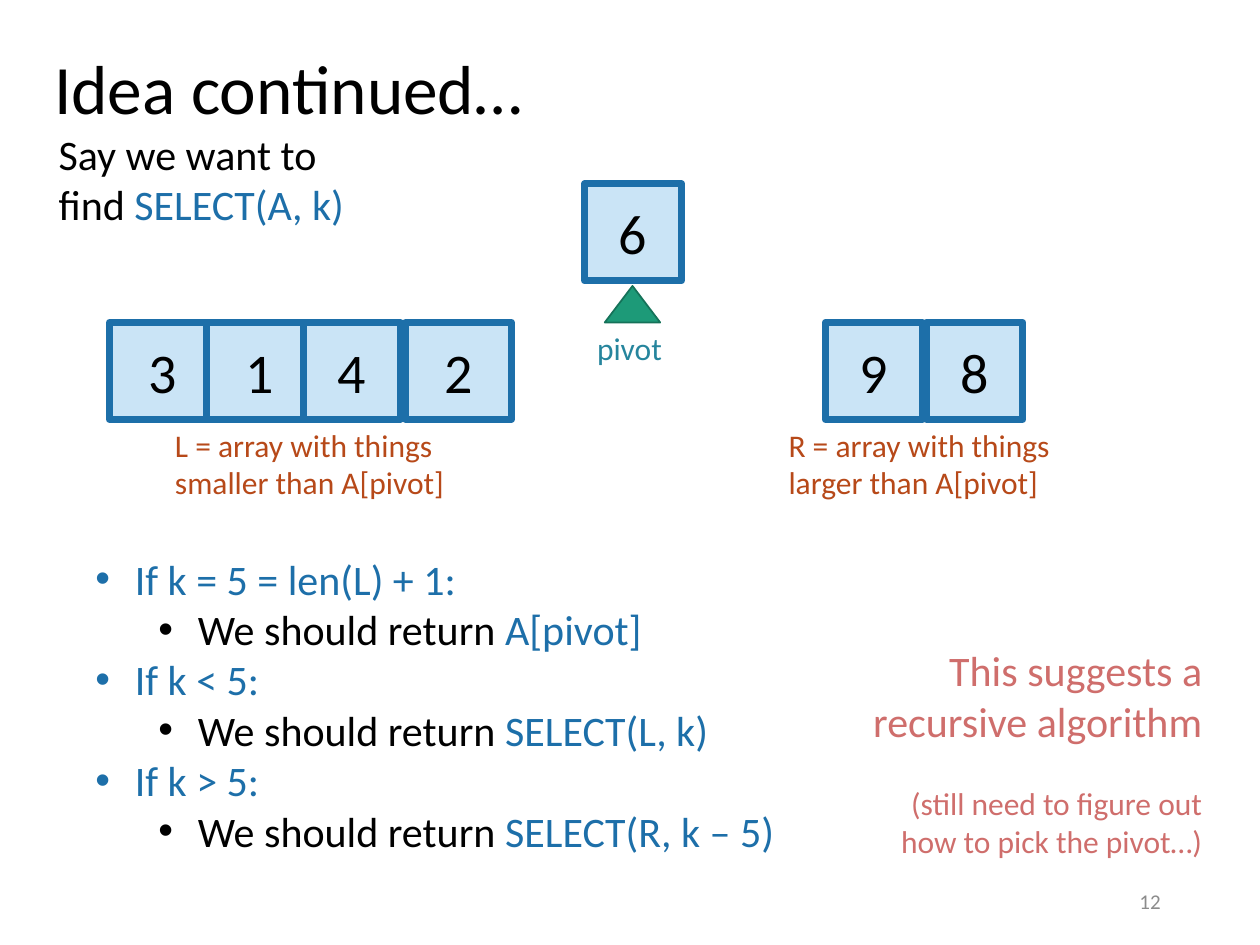
from lxml import etree
from pptx import Presentation
from pptx.dml.color import RGBColor
from pptx.enum import shapes, text
from pptx.oxml import ns
from pptx.util import Pt

FONT = "Calibri"
COLORS = {
    "black": "000000", "blue": "1D6FA9", "cell": "CAE4F6", "green": "1D9A78",
    "dark_green": "157259", "teal": "26859D", "rust": "B74919",
    "rose": "CF6E6C", "gray": "8C8C8C",
}
CELL = 55.4
WIDE_CELL = 60.5
ROW_TOP = 184.3


def color(name):
    return RGBColor.from_string(COLORS[name])


def add_run(paragraph, words, size, color_name):
    run = paragraph.add_run()
    run.text = words
    run.font.name = FONT
    run.font.size = Pt(size)
    run.font.color.rgb = color(color_name)


def add_bullet(paragraph, level):
    paragraph.level = level
    properties = paragraph._p.get_or_add_pPr()
    properties.set("marL", str(Pt(22.5 + 36 * level)))
    properties.set("indent", str(Pt(-22.5)))
    etree.SubElement(properties, ns.qn("a:buFont")).set("typeface", "Arial")
    etree.SubElement(properties, ns.qn("a:buChar")).set("char", "•")


def add_text(slide, box, paragraphs, size, align=text.PP_ALIGN.LEFT,
             anchor=text.MSO_ANCHOR.TOP, levels=None):
    frame = slide.shapes.add_textbox(*map(Pt, box)).text_frame
    frame.word_wrap = True
    frame.vertical_anchor = anchor
    for index, runs in enumerate(paragraphs):
        paragraph = frame.paragraphs[0] if index == 0 else frame.add_paragraph()
        paragraph.alignment = align
        if levels:
            add_bullet(paragraph, levels[index])
        for words, color_name in runs:
            add_run(paragraph, words, size, color_name)
    return frame


def add_filled_shape(slide, kind, box, fill, line, line_width):
    shape = slide.shapes.add_shape(kind, *map(Pt, box))
    shape.shadow.inherit = False
    shape.fill.solid()
    shape.fill.fore_color.rgb = color(fill)
    shape.line.color.rgb = color(line)
    shape.line.width = Pt(line_width)
    return shape


def add_cell(slide, left, top, width, number):
    shape = add_filled_shape(slide, shapes.MSO_SHAPE.RECTANGLE,
                             (left, top, width, CELL), "cell", "blue", 4)
    shape.text_frame.vertical_anchor = text.MSO_ANCHOR.MIDDLE
    paragraph = shape.text_frame.paragraphs[0]
    paragraph.alignment = text.PP_ALIGN.CENTER
    add_run(paragraph, number, 32, "black")


def add_array(slide, left, top, cells, caption, caption_left):
    for offset, width, number in cells:
        add_cell(slide, left + offset, top, width, number)
    add_text(slide, (caption_left, top + CELL, 209.5, 51),
             [[(caption, "rust")]], 18)


def add_pivot(slide, left, top):
    add_cell(slide, left, top, CELL, "6")
    add_filled_shape(slide, shapes.MSO_SHAPE.ISOSCELES_TRIANGLE,
                     (left + 11.5, top + 58.3, 31.7, 20.9),
                     "green", "dark_green", 1)
    add_text(slide, (left, top + 79.2, 72, 29), [[("pivot", "teal")]], 18)


def add_heading(slide, left, top):
    frame = add_text(slide, (left, top, 620.6, 47.5),
                     [[("Idea continued…", "black")]], 39.6,
                     anchor=text.MSO_ANCHOR.MIDDLE)
    frame.paragraphs[0].line_spacing = 0.9
    add_text(slide, (left + 2.6, top + 41, 190, 65.5),
             [[("Say we want to find ", "black"), ("SELECT(A, k)", "blue")]], 24)


def add_cases(slide, box):
    cases = [
        ("If k = 5 = len(L) + 1:", "A[pivot]"),
        ("If k < 5:", "SELECT(L, k)"),
        ("If k > 5:", "SELECT(R, k – 5)"),
    ]
    paragraphs = []
    for condition, result in cases:
        paragraphs.append([(condition, "blue")])
        paragraphs.append([("We should return ", "black"), (result, "blue")])
    add_text(slide, box, paragraphs, 24, levels=[0, 1] * len(cases))


def add_remark(slide, box):
    frame = add_text(slide, box, [[("This suggests a recursive algorithm", "rose")]],
                     24, align=text.PP_ALIGN.RIGHT)
    paragraph = frame.add_paragraph()
    paragraph.alignment = text.PP_ALIGN.RIGHT
    paragraph.space_before = Pt(22)
    add_run(paragraph, "(still need to figure out how to pick the pivot…)", 18, "rose")


def add_slide_number(slide, box):
    add_text(slide, box, [[("12", "gray")]], 12, align=text.PP_ALIGN.RIGHT,
             anchor=text.MSO_ANCHOR.MIDDLE)


def main():
    presentation = Presentation()
    presentation.slide_width = Pt(720)
    presentation.slide_height = Pt(540)
    slide = presentation.slides.add_slide(presentation.slide_layouts[6])
    add_heading(slide, 23.8, 28.8)
    add_array(slide, 471.6, ROW_TOP, [(0, CELL, "9"), (57.6, CELL, "8")],
              "R = array with things larger than A[pivot]", 443.5)
    add_array(slide, 62.6, ROW_TOP,
              [(0, WIDE_CELL, "3"), (CELL, WIDE_CELL, "1"),
               (2 * CELL, CELL, "4"), (169.2, WIDE_CELL, "2")],
              "L = array with things smaller than A[pivot]", 92.9)
    add_pivot(slide, 334.1, 105.1)
    add_cases(slide, (47.5, 312.5, 530.6, 181.4))
    add_remark(slide, (481.7, 365, 212.4, 131))
    add_slide_number(slide, (508.3, 500.4, 162, 28.8))
    presentation.save("out.pptx")


if __name__ == "__main__":
    main()
